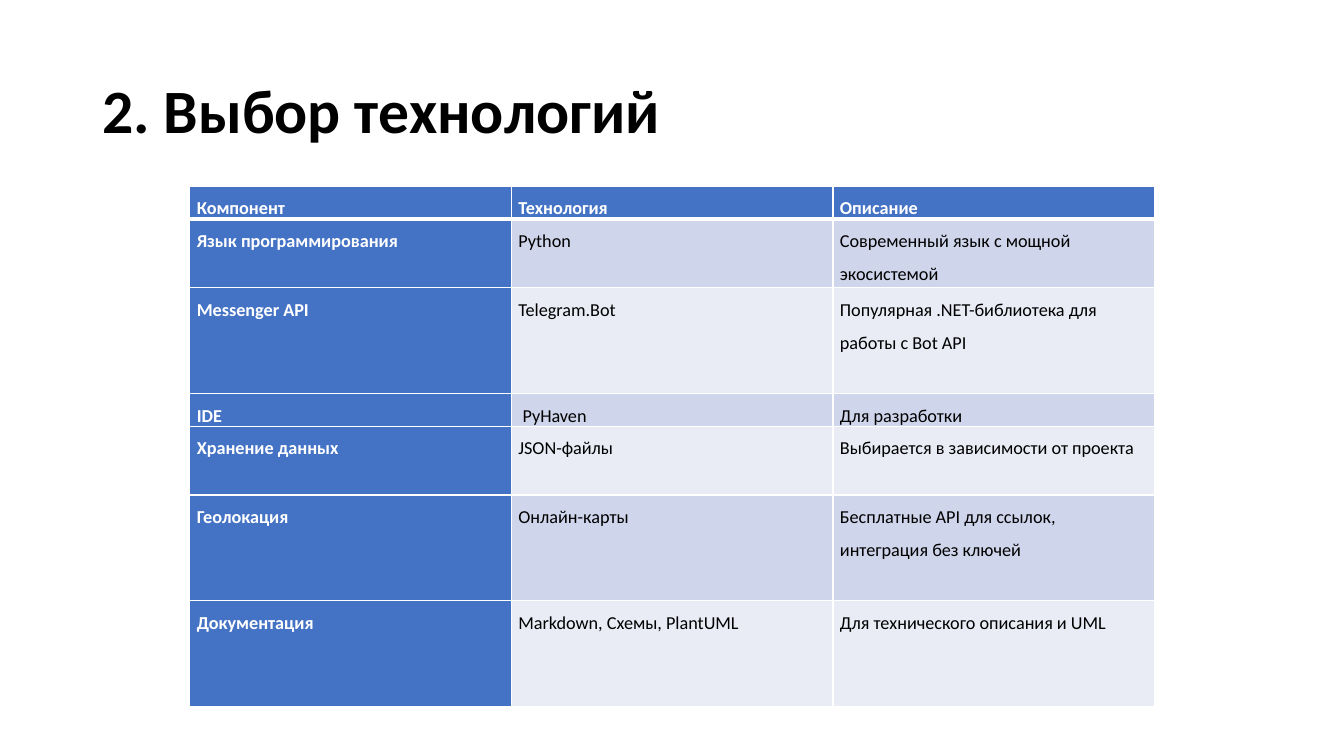
"""Builds the slide that lists the chosen technologies in a table."""
from lxml import etree
from pptx import Presentation
from pptx import util as u
from pptx.dml.color import RGBColor
from pptx.enum import text
from pptx.oxml.ns import qn

COLORS = {"header": "4472C4", "odd": "CFD5EA", "even": "E9EBF5",
          "white": "FFFFFF", "black": "000000"}
ROWS = [
    ("Компонент", "Технология", "Описание"),
    ("Язык программирования", "Python", "Современный язык с мощной экосистемой"),
    ("Messenger API", "Telegram.Bot", "Популярная .NET-библиотека для работы с Bot API"),
    ("IDE", "PyHaven", "Для разработки"),
    ("Хранение данных", "JSON-файлы", "Выбирается в зависимости от проекта"),
    ("Геолокация", "Онлайн-карты", "Бесплатные API для ссылок, интеграция без ключей"),
    ("Документация", "Markdown, Схемы, PlantUML", "Для технического описания и UML"),
]
ROW_HEIGHTS = [23.4, 49, 75.6, 23.4, 49, 75.6, 75.6]
COLUMN_WIDTH = 229.7


def write(frame, words, size, color, bold, spacing):
    para = frame.paragraphs[0]
    para.line_spacing = spacing
    span = para.add_run()
    span.text = words
    span.font.name = "Calibri"
    span.font.size = u.Pt(size)
    span.font.bold = bold
    span.font.color.rgb = RGBColor.from_string(COLORS[color])


def add_border(cell, position, tag, width):
    line = etree.Element(qn(f"a:{tag}"), w=str(u.Pt(width)))
    fill = etree.SubElement(line, qn("a:solidFill"))
    etree.SubElement(fill, qn("a:srgbClr"), val=COLORS["white"])
    cell._tc.get_or_add_tcPr().insert(position, line)


deck = Presentation()
deck.slide_width, deck.slide_height = u.Pt(960), u.Pt(540)
page = deck.slides.add_slide(deck.slide_layouts[6])

title = page.shapes.add_textbox(u.Pt(66), u.Pt(28.8), u.Pt(828), u.Pt(104.4))
title.text_frame.word_wrap = True
title.text_frame.vertical_anchor = text.MSO_ANCHOR.MIDDLE
write(title.text_frame, "2. Выбор технологий", 44, "black", True, 0.9)

table = page.shapes.add_table(
    len(ROWS), 3, u.Pt(135.6), u.Pt(133.2),
    u.Pt(3 * COLUMN_WIDTH), u.Pt(sum(ROW_HEIGHTS))).table
for column in table.columns:
    column.width = u.Pt(COLUMN_WIDTH)

for r, (row, height) in enumerate(zip(ROWS, ROW_HEIGHTS)):
    table.rows[r].height = u.Pt(height)
    for c, words in enumerate(row):
        cell = table.cell(r, c)
        heading = r == 0 or c == 0
        shade = "header" if heading else "odd" if r % 2 else "even"
        cell.fill.solid()
        cell.fill.fore_color.rgb = RGBColor.from_string(COLORS[shade])
        cell.margin_left = cell.margin_right = u.Pt(5)
        cell.margin_top = cell.margin_bottom = 0
        write(cell.text_frame, words, 13, "white" if heading else "black", heading, 1.5)
        widths = {"lnL": 1, "lnR": 1, "lnT": 3 if r == 1 else 1, "lnB": 3 if r == 0 else 1}
        for position, (tag, width) in enumerate(widths.items()):
            add_border(cell, position, tag, width)

table.cell(3, 1).margin_left = u.Pt(8)

deck.save("out.pptx")
